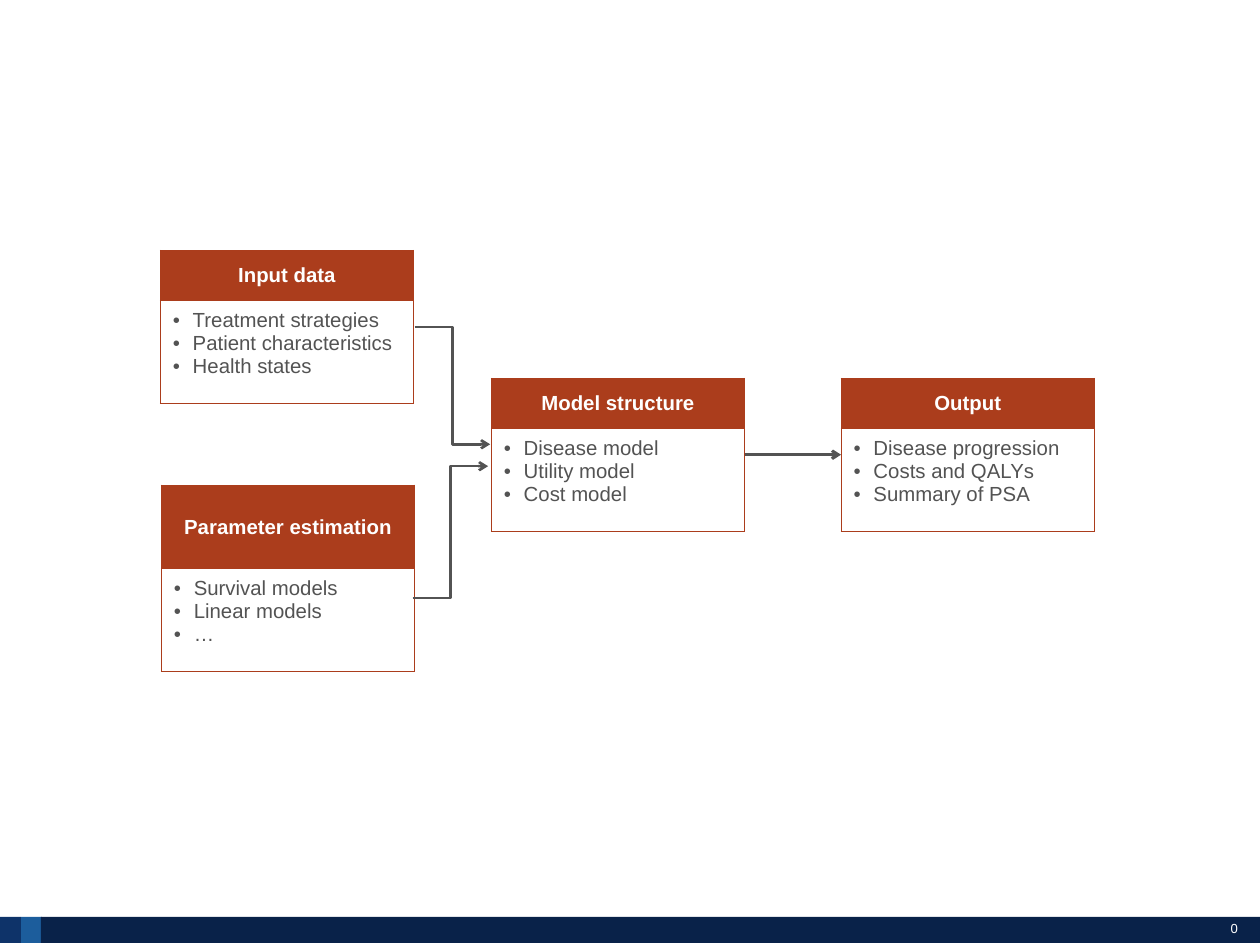
from dataclasses import dataclass

from lxml import etree
from pptx import Presentation
from pptx import util as u
from pptx.dml.color import RGBColor
from pptx.enum import shapes, text
from pptx.oxml import ns

RUST = RGBColor(0xAB, 0x3D, 0x1C)
GREY = RGBColor(0x53, 0x53, 0x53)
WHITE = RGBColor(0xFF, 0xFF, 0xFF)
NAVY = RGBColor(0x09, 0x22, 0x49)
BLUE = RGBColor(0x0E, 0x33, 0x69)
LIGHT_BLUE = RGBColor(0x1C, 0x5D, 0x9C)

FONT = "Arial"
CARD_WIDTH = 2.42
BODY_HEIGHT = 0.98
INDENT = 0.19


@dataclass
class Card:
    left: float
    top: float
    title: str
    items: list[str]
    header_height: float = 0.48


@dataclass
class Band:
    left: float
    width: float
    color: RGBColor


@dataclass
class Elbow:
    start: tuple[float, float]
    end: tuple[float, float]


CARDS = [
    Card(1.53, 2.39, "Input data",
         ["Treatment strategies", "Patient characteristics", "Health states"]),
    Card(1.54, 4.63, "Parameter estimation",
         ["Survival models", "Linear models", "…"], header_height=0.8),
    Card(4.69, 3.61, "Model structure",
         ["Disease model", "Utility model", "Cost model"]),
    Card(8.03, 3.61, "Output",
         ["Disease progression", "Costs and QALYs", "Summary of PSA"]),
]
BANDS = [Band(0.2, 0.2, LIGHT_BLUE), Band(0, 0.2, BLUE), Band(0.39, 11.65, NAVY)]
ELBOWS = [Elbow((3.96, 3.12), (4.68, 4.24)), Elbow((3.94, 5.71), (4.66, 4.45))]


def add_span(para, words: str, size: float, color: RGBColor, bold: bool = False) -> None:
    span = para.add_run()
    span.text = words
    span.font.name = FONT
    span.font.size = u.Pt(size)
    span.font.bold = bold
    span.font.color.rgb = color


def add_bullet(para) -> None:
    props = para._p.get_or_add_pPr()
    props.set("marL", str(u.Inches(INDENT)))
    props.set("indent", str(-u.Inches(INDENT)))
    font = etree.SubElement(props, ns.qn("a:buFont"))
    font.set("typeface", FONT)
    etree.SubElement(props, ns.qn("a:buChar")).set("char", "•")


def set_borders(cell) -> None:
    """Outline all four sides; border elements must precede the fill."""
    props = cell._tc.get_or_add_tcPr()
    for index, side in enumerate(("lnL", "lnR", "lnT", "lnB")):
        border = etree.Element(ns.qn(f"a:{side}"), w=str(u.Pt(0.75)))
        fill = etree.SubElement(border, ns.qn("a:solidFill"))
        etree.SubElement(fill, ns.qn("a:srgbClr")).set("val", str(RUST))
        props.insert(index, border)


def add_card(page, card: Card):
    frame = page.shapes.add_table(
        2, 1, u.Inches(card.left), u.Inches(card.top), u.Inches(CARD_WIDTH),
        u.Inches(card.header_height + BODY_HEIGHT))
    table = frame.table
    table.horz_banding = False
    table.rows[0].height = u.Inches(card.header_height)
    table.rows[1].height = u.Inches(BODY_HEIGHT)

    header, body = table.cell(0, 0), table.cell(1, 0)
    for cell in (header, body):
        cell.margin_left = cell.margin_right = u.Inches(0.12)
        cell.margin_top = cell.margin_bottom = u.Inches(0.08)
        set_borders(cell)

    header.fill.solid()
    header.fill.fore_color.rgb = RUST
    header.vertical_anchor = text.MSO_ANCHOR.MIDDLE
    para = header.text_frame.paragraphs[0]
    para.alignment = text.PP_ALIGN.CENTER
    add_span(para, card.title, 14, WHITE, bold=True)

    body.fill.background()
    for index, item in enumerate(card.items):
        para = body.text_frame.paragraphs[0] if index == 0 else body.text_frame.add_paragraph()
        add_bullet(para)
        add_span(para, item, 14, GREY)
    return frame


def add_arrow(page, kind, start: tuple[float, float], end: tuple[float, float], weight: float):
    arrow = page.shapes.add_connector(kind, *map(u.Inches, start + end))
    arrow.line.color.rgb = GREY
    arrow.line.width = u.Pt(weight)
    etree.SubElement(arrow.line._get_or_add_ln(), ns.qn("a:tailEnd")).set("type", "arrow")
    etree.SubElement(arrow._element.spPr, ns.qn("a:effectLst"))
    return arrow


def add_footer(page) -> None:
    for band in BANDS:
        box = page.shapes.add_shape(
            shapes.MSO_SHAPE.RECTANGLE, u.Inches(band.left), u.Inches(8.75),
            u.Inches(band.width), u.Inches(0.27))
        box.shadow.inherit = False
        box.fill.solid()
        box.fill.fore_color.rgb = band.color
        box.line.fill.background()

    number = page.shapes.add_textbox(
        u.Inches(10.62), u.Inches(8.78), u.Inches(1.2), u.Inches(0.4)).text_frame
    number.margin_left = number.margin_right = number.margin_top = number.margin_bottom = 0
    number.word_wrap = True
    para = number.paragraphs[0]
    para.alignment = text.PP_ALIGN.RIGHT
    add_span(para, "0", 9, WHITE)


def main() -> None:
    deck = Presentation()
    deck.slide_width, deck.slide_height = u.Inches(12.03), u.Inches(9)
    page = deck.slides.add_slide(deck.slide_layouts[6])

    add_footer(page)
    frames = {card.title: add_card(page, card) for card in CARDS}

    link = add_arrow(page, shapes.MSO_CONNECTOR.STRAIGHT, (7.11, 4.34), (8.03, 4.34), 2)
    link.begin_connect(frames["Model structure"], 3)
    link.end_connect(frames["Output"], 1)
    for elbow in ELBOWS:
        add_arrow(page, shapes.MSO_CONNECTOR.ELBOW, elbow.start, elbow.end, 1.75)

    deck.save("out.pptx")


if __name__ == "__main__":
    main()
